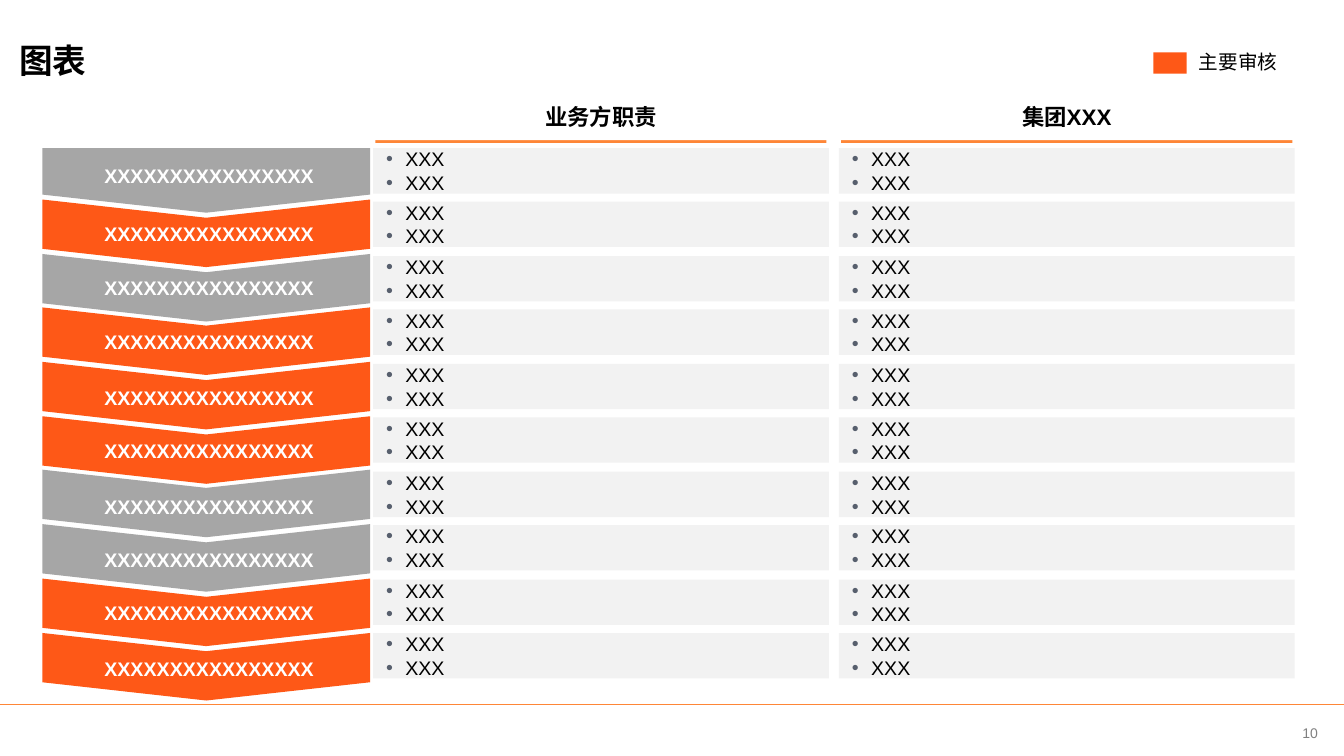
from lxml.etree import SubElement
from pptx import Presentation
from pptx.dml.color import RGBColor
from pptx.enum.shapes import MSO_CONNECTOR, MSO_SHAPE
from pptx.enum.text import MSO_ANCHOR, PP_ALIGN
from pptx.oxml.ns import qn
from pptx.util import Pt

PX = 9144  # 100 px to the inch
ORANGE, GREY, PALE, RULE = "FE5817", "A6A6A6", "F2F2F2", "FE8637"
BLACK, WHITE, PAGE_GREY, BULLET = "000000", "FFFFFF", "808080", "575F6D"

STEP = "XXXXXXXXXXXXXXXX"
STEPS = [  # label top, colour
    (158, GREY), (216, ORANGE), (269, GREY), (323, ORANGE), (378, ORANGE),
    (431, ORANGE), (487, GREY), (539, GREY), (592, ORANGE), (647, ORANGE),
]
COLUMNS = [("业务方职责", 370), ("集团XXX", 832)]
DUTIES = ["XXX", "XXX"]


def px(*lengths):
    return [round(length * PX) for length in lengths]


def rgb(hex_code):
    return RGBColor.from_string(hex_code)


def write(shape, lines, size, colour=BLACK, bold=False, align=PP_ALIGN.LEFT,
          anchor=MSO_ANCHOR.MIDDLE, inset=0, font="Arial", label=False, bullets=False):
    frame = shape.text_frame
    frame.word_wrap = True
    frame.vertical_anchor = anchor
    frame.margin_left = frame.margin_top = frame.margin_right = frame.margin_bottom = px(inset)[0]
    frame.text = "\n".join(lines)
    for paragraph in frame.paragraphs:
        paragraph.alignment = align
        if label:
            paragraph.line_spacing = 0.9
            paragraph.space_after = Pt(10)
        if bullets:
            add_bullet(paragraph)
        paragraph.font.name = font
        paragraph.font.size = Pt(size)
        paragraph.font.bold = bold
        paragraph.font.color.rgb = rgb(colour)


def add_bullet(paragraph):
    paragraph.level = 1
    properties = paragraph._p.get_or_add_pPr()
    margin, indent = px(32, -19)
    properties.set("marL", str(margin))
    properties.set("indent", str(indent))
    SubElement(SubElement(properties, qn("a:buClr")), qn("a:srgbClr"), val=BULLET)
    SubElement(properties, qn("a:buFont"), typeface="Arial")
    SubElement(properties, qn("a:buChar"), char="•")


def add_text(slide, box, lines, size, **style):
    write(slide.shapes.add_textbox(*px(*box)), lines, size, **style)


def add_block(slide, kind, box, colour):
    block = slide.shapes.add_shape(kind, *px(*box))
    block.shadow.inherit = False
    block.fill.solid()
    block.fill.fore_color.rgb = rgb(colour)
    block.line.fill.background()
    return block


def add_downward(slide, kind, box, colour, point):
    """Turn a right-pointing shape so that it fills the box pointing down."""
    left, top, width, height = box
    shift = (width - height) / 2
    arrow = add_block(slide, kind, (left + shift, top - shift, height, width), colour)
    arrow.rotation = 90
    arrow.adjustments[0] = point


def add_footer(slide, left, top, width):
    rule = slide.shapes.add_connector(MSO_CONNECTOR.STRAIGHT, *px(left, top, left + width, top))
    rule.line.color.rgb = rgb(RULE)
    rule.line.width = Pt(1)
    SubElement(rule._element.spPr, qn("a:effectLst"))
    add_text(slide, (left + width - 67, top + 5, 67, 46), ["10"], 10,
             colour=PAGE_GREY, align=PP_ALIGN.CENTER)


def add_steps(slide, left, top, width):
    for index, (label_top, colour) in enumerate(STEPS):
        if index == 0:
            add_downward(slide, MSO_SHAPE.PENTAGON, (left, top, width, 64), colour, 0.28)
        else:
            chevron_top = round(top - 3 + 53.75 * index)
            add_downward(slide, MSO_SHAPE.CHEVRON, (left, chevron_top, width, 67), colour, 0.27)
    for label_top, colour in STEPS:
        add_text(slide, (left + 13, label_top, 305, 35), [STEP], 14, colour=WHITE,
                 bold=True, align=PP_ALIGN.CENTER, label=True)


def add_duties(slide, heading, left, top, width):
    for index in range(len(STEPS)):
        row_top = round(top + 55 + 53.45 * index)
        row = add_block(slide, MSO_SHAPE.RECTANGLE, (left, row_top, width, 45), PALE)
        write(row, DUTIES, 14, bullets=True)

    # Heading, underlined by its shadow
    header = add_block(slide, MSO_SHAPE.RECTANGLE, (left, top, width, 47), WHITE)
    write(header, [heading], 16, bold=True, align=PP_ALIGN.CENTER,
          anchor=MSO_ANCHOR.BOTTOM, inset=10)
    effects = header._element.spPr.find(qn("a:effectLst"))
    shadow = SubElement(effects, qn("a:outerShdw"), blurRad="0", dist=str(Pt(2)),
                        dir="5400000", sx="99000", algn="t", rotWithShape="0")
    SubElement(shadow, qn("a:srgbClr"), val=RULE)


def add_legend(slide, left, top, height):
    add_block(slide, MSO_SHAPE.RECTANGLE, (left, top, 33, height), ORANGE)
    add_text(slide, (left + 45, top, 111, height), ["主要审核"], 14, label=True)


def add_title(slide, box):
    title = slide.shapes.title
    title.left, title.top, title.width, title.height = px(*box)
    write(title, ["图表"], 24, bold=True, font="Noto Sans CJK SC")


def main():
    prs = Presentation()
    prs.slide_width, prs.slide_height = px(1333, 750)
    slide = prs.slides.add_slide(prs.slide_layouts[5])
    add_footer(slide, 0, 699, 1333)
    add_steps(slide, 42, 147, 325)
    for heading, left in COLUMNS:
        add_duties(slide, heading, left, 92, 452)
    add_legend(slide, 1144, 52, 21)
    add_title(slide, (19, 20, 1196, 79))
    prs.save("out.pptx")


if __name__ == "__main__":
    main()
